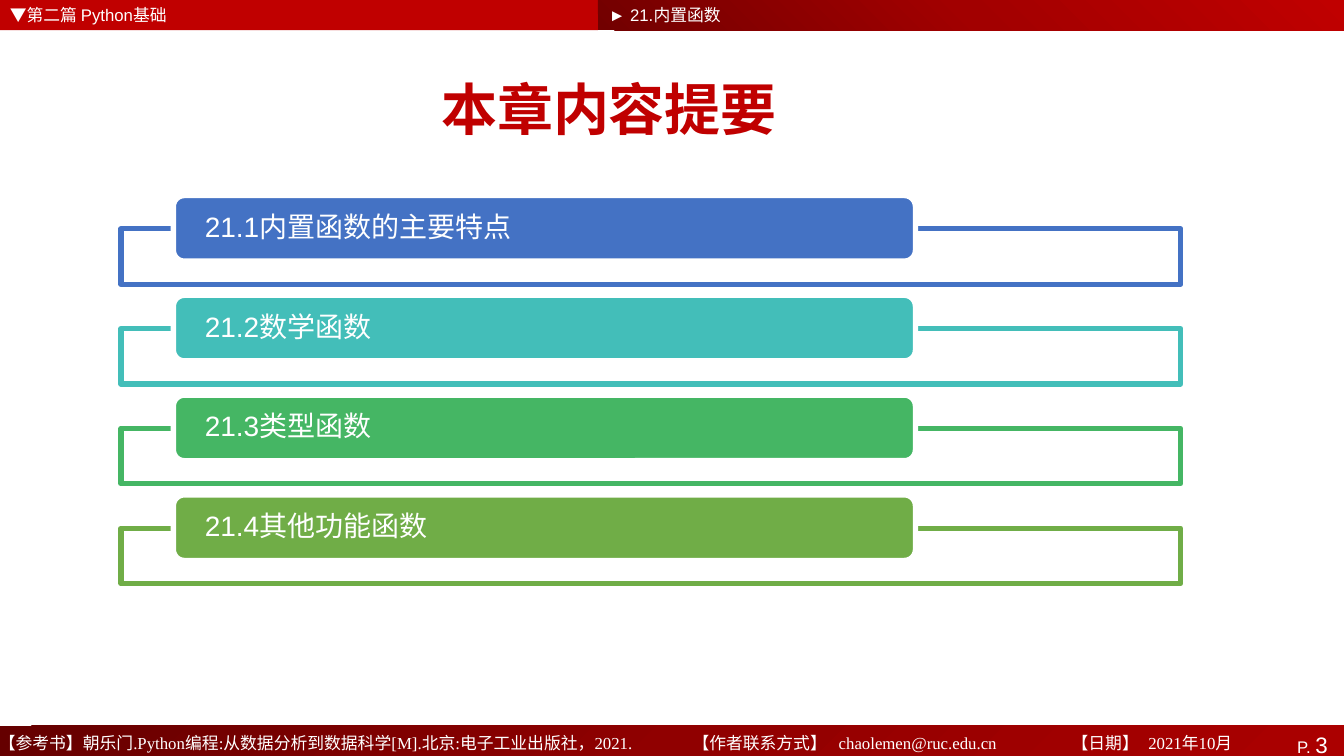
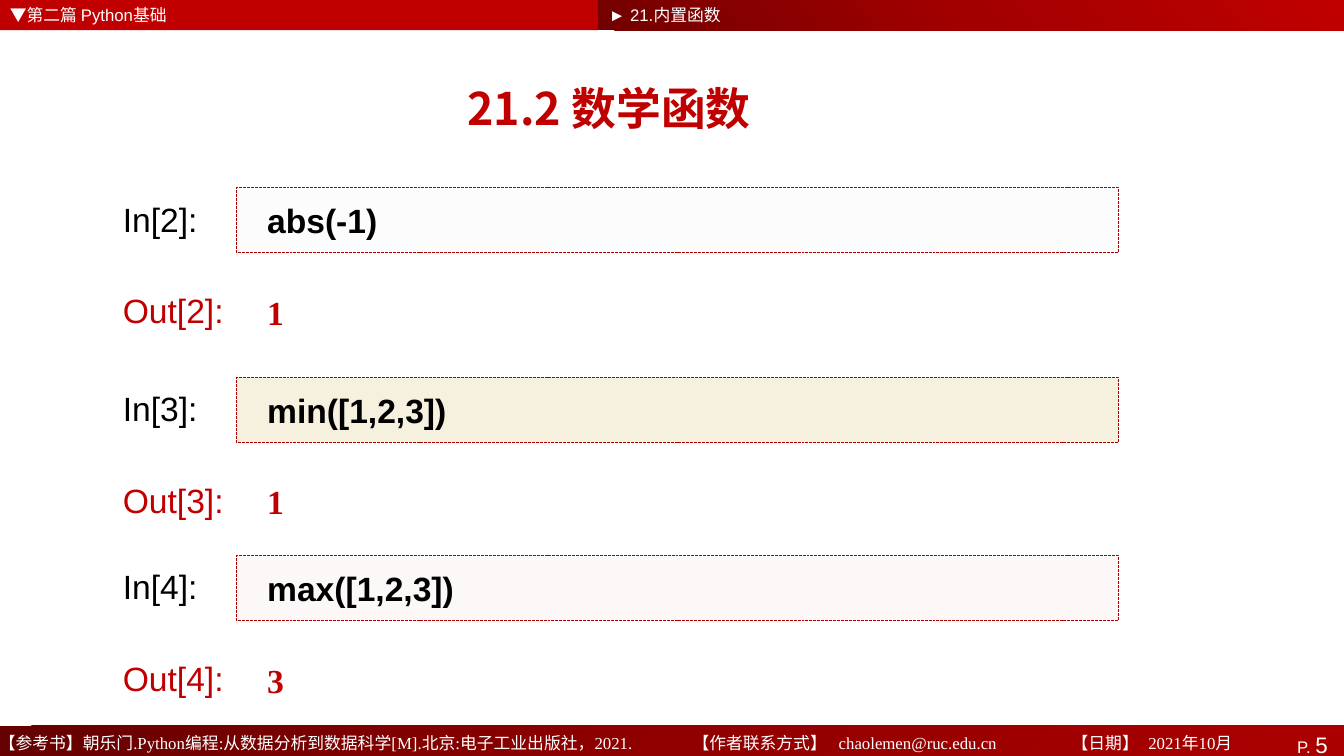
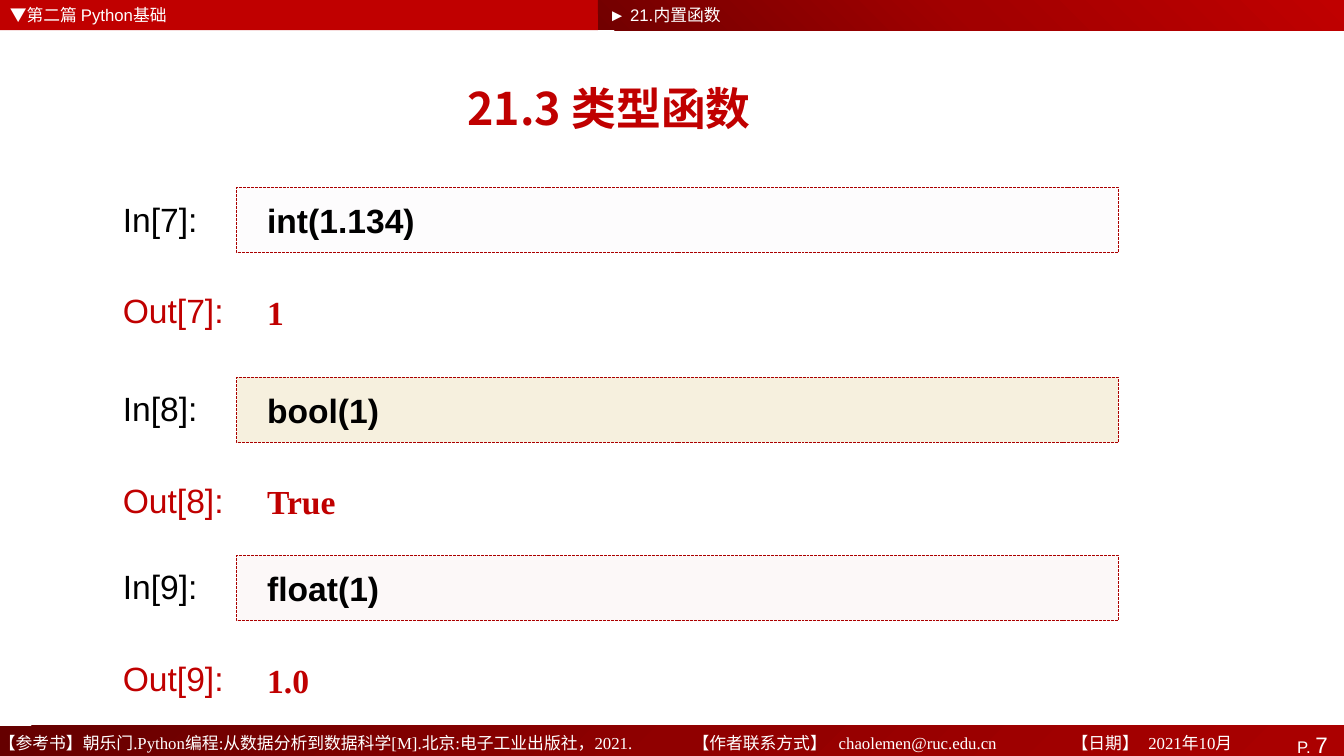
from lxml.etree import SubElement
from pptx import Presentation
from pptx.dml.color import RGBColor
from pptx.enum.dml import MSO_LINE
from pptx.enum.shapes import MSO_SHAPE
from pptx.enum.text import MSO_ANCHOR, PP_ALIGN
from pptx.oxml.ns import qn
from pptx.util import Inches, Pt

COLORS = {
    "white": "FFFFFF", "black": "000000", "red": "C00000", "dark_red": "AB0000",
    "blue": "4472C4", "teal": "43BEB9", "green": "45B664", "olive": "70AD47",
    "lilac": "F1EEF4", "gold": "BF9000", "pink": "EDCDCB",
}
HEADER_GRADIENT = ["720000", "A20000", "C00000"]
FOOTER_GRADIENT = ["650000", "900000", "AB0000"]
SANS, SERIF, CJK = "Arial", "Times New Roman", "Noto Sans CJK SC"

PART = "▼第二篇 Python基础"
CHAPTER = "► 21.内置函数"
FOOTER = "\t".join([
    "【参考书】朝乐门.Python编程:从数据分析到数据科学[M].北京:电子工业出版社，2021.",
    "【作者联系方式】", "chaolemen@ruc.edu.cn", "【日期】", "2021年10月",
])
FOOTER_TABS = [6.88, 8.33, 10.64, 11.4]

TOPICS = [
    ("21.1内置函数的主要特点", "blue"), ("21.2数学函数", "teal"),
    ("21.3类型函数", "green"), ("21.4其他功能函数", "olive"),
]
TOPIC_TOP, TOPIC_PITCH = 1.94, 0.99

CELL_ROWS = [(1.86, "lilac"), (3.74, "gold"), (5.51, "pink")]
CODE_SLIDES = [
    ("21.2 数学函数", 5, 2, [("abs(-1)", "1"), ("min([1,2,3])", "1"), ("max([1,2,3])", "3")]),
    ("21.3 类型函数", 7, 7, [("int(1.134)", "1"), ("bool(1)", "True"), ("float(1)", "1.0")]),
]


def rgb(name):
    return RGBColor.from_string(COLORS[name])


def add_run(p, text, size=12, font=SANS, color="white", bold=False):
    r = p.add_run()
    r.text = text
    r.font.size, r.font.name, r.font.bold = Pt(size), font, bold
    r.font.color.rgb = rgb(color)
    SubElement(r.font._element, qn("a:ea"), typeface=CJK)


def put_text(sp, text, align=PP_ALIGN.LEFT, anchor=MSO_ANCHOR.TOP,
             left=0.1, right=0.1, tabs=(), spacing=None, **font):
    """Fill the first paragraph of a shape and return it."""
    tf = sp.text_frame
    tf.word_wrap = True
    tf.vertical_anchor = anchor
    tf.margin_left, tf.margin_right = Inches(left), Inches(right)
    p = tf.paragraphs[0]
    p.alignment = align
    p.line_spacing = spacing
    if tabs:
        tab_list = SubElement(p._p.get_or_add_pPr(), qn("a:tabLst"))
        for pos in tabs:
            SubElement(tab_list, qn("a:tab"), pos=str(Inches(pos)), algn="l")
    add_run(p, text, **font)
    return p


class Deck:
    def __init__(self):
        self.prs = Presentation()
        self.prs.slide_width, self.prs.slide_height = Inches(13.33), Inches(7.5)
        self.s = None

    def text(self, box, text, **fmt):
        sp = self.s.shapes.add_textbox(*map(Inches, box))
        put_text(sp, text, **fmt)

    def shape(self, box, fill=None, alpha=None, line=None, width=1, dash=None,
              kind=MSO_SHAPE.RECTANGLE):
        sp = self.s.shapes.add_shape(kind, *map(Inches, box))
        sp.shadow.inherit = False
        if fill:
            sp.fill.solid()
            sp.fill.fore_color.rgb = rgb(fill)
        if alpha:
            color = sp._element.spPr.find(qn("a:solidFill"))[0]
            SubElement(color, qn("a:alpha"), val=str(alpha * 1000))
        if line:
            sp.line.color.rgb = rgb(line)
            sp.line.width = Pt(width)
            sp.line.dash_style = dash
        else:
            sp.line.fill.background()
        return sp

    def gradient_band(self, box, stops, angle):
        """Angle is counter-clockwise, in degrees."""
        sp = self.shape(box)
        sp.fill.gradient()
        sp.fill.gradient_angle = angle
        stop_list = sp._element.spPr.find(qn("a:gradFill")).find(qn("a:gsLst"))
        for stop in list(stop_list):
            stop_list.remove(stop)
        for i, color in enumerate(stops):
            stop = SubElement(stop_list, qn("a:gs"), pos=str(i * 50000))
            SubElement(stop, qn("a:srgbClr"), val=color)
        return sp

    def new_slide(self, title, page, title_size=32):
        self.s = self.prs.slides.add_slide(self.prs.slide_layouts[6])
        self.shape((0, 0, 5.93, 0.3), "red")
        footer = self.gradient_band((0, 7.2, 13.33, 0.3), FOOTER_GRADIENT, 315)
        p = put_text(footer, "P. ", align=PP_ALIGN.RIGHT, right=0.16)
        add_run(p, str(page), size=16)
        self.gradient_band((5.93, 0, 7.4, 0.3), HEADER_GRADIENT, 45)
        self.text((-0.11, 7.22, 12.65, 0.35), FOOTER, font=SERIF, tabs=FOOTER_TABS)
        self.text((0.68, 0.62, 10.72, 0.9), title, size=title_size, font=CJK, color="red",
                  bold=True, align=PP_ALIGN.CENTER, anchor=MSO_ANCHOR.MIDDLE)
        self.text((0, 0, 4.83, 0.29), PART)
        self.text((5.94, 0, 2.38, 0.29), CHAPTER)

    def topic(self, top, text, color):
        self.shape((1.2, top + 0.33, 10.51, 0.55), "white", alpha=90, line=color, width=3.78)
        bar = self.shape((1.72, top, 7.36, 0.65), color, line="white", width=3.78,
                         kind=MSO_SHAPE.ROUNDED_RECTANGLE)
        put_text(bar, text, size=20, left=0.28, right=0.28, spacing=0.9,
                 anchor=MSO_ANCHOR.MIDDLE)

    def code_cell(self, top, number, code, result, fill):
        """Input line in a dashed box, with its output below."""
        out_top = top + 0.91
        body = dict(size=24, bold=True, left=0.3, anchor=MSO_ANCHOR.MIDDLE)
        self.text((1.12, top + 0.06, 1.11, 0.5), f"In[{number}]:", size=24, color="black")
        box = self.shape((2.35, top, 8.74, 0.65), fill, alpha=13, line="dark_red", width=0.7,
                         dash=MSO_LINE.SQUARE_DOT)
        put_text(box, code, color="black", **body)
        self.text((1.12, out_top + 0.06, 1.35, 0.5), f"Out[{number}]:", size=24, color="red")
        self.text((2.35, out_top, 8.74, 0.65), result, font=SERIF, color="red", **body)


def main():
    deck = Deck()
    deck.new_slide("本章内容提要", 3, title_size=40)
    for i, (text, color) in enumerate(TOPICS):
        deck.topic(TOPIC_TOP + i * TOPIC_PITCH, text, color)
    for title, page, first, cells in CODE_SLIDES:
        deck.new_slide(title, page)
        for i, ((top, fill), (code, result)) in enumerate(zip(CELL_ROWS, cells)):
            deck.code_cell(top, first + i, code, result, fill)
    deck.prs.save("out.pptx")


if __name__ == "__main__":
    main()
